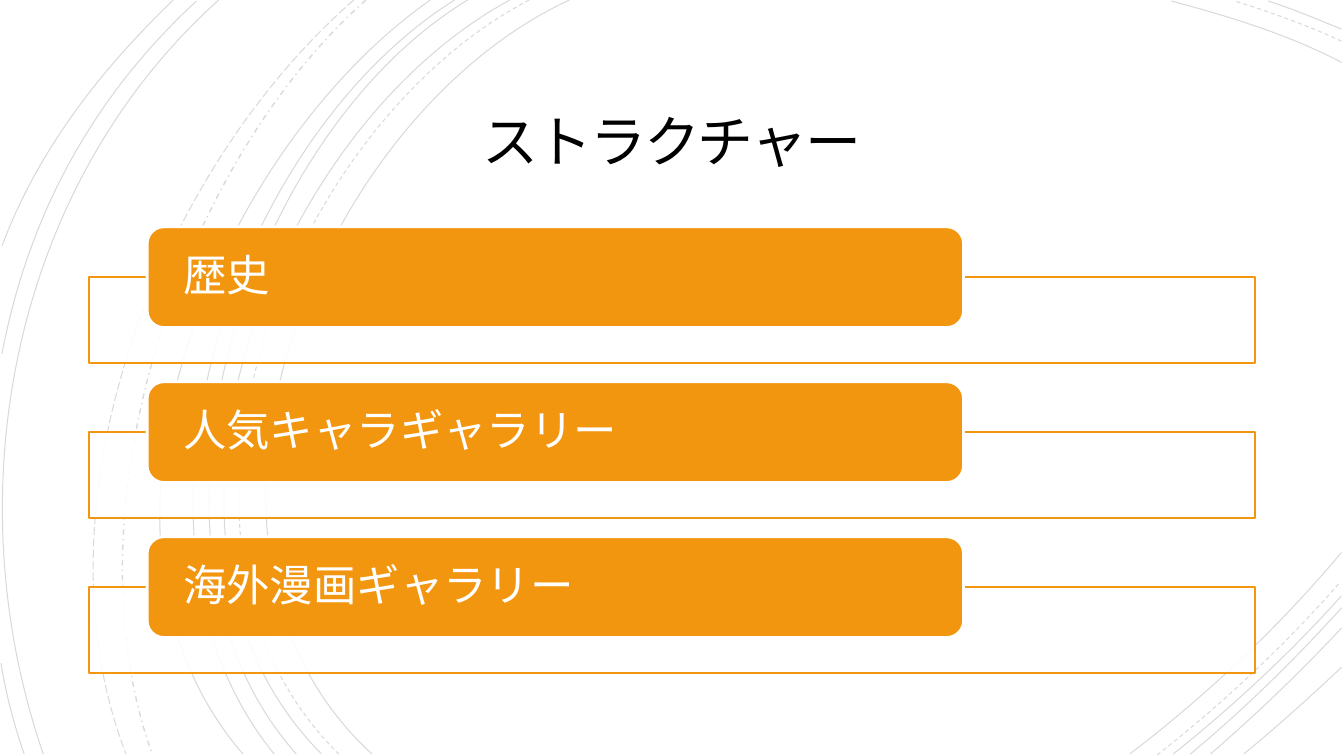
from lxml import etree
from pptx import Presentation
from pptx.dml.color import RGBColor
from pptx.enum.dml import MSO_LINE
from pptx.enum.shapes import MSO_SHAPE
from pptx.enum.text import MSO_ANCHOR, PP_ALIGN
from pptx.oxml.ns import qn
from pptx.util import Pt

SOLID, DASH = MSO_LINE.SOLID, MSO_LINE.DASH
DOT, LONG = MSO_LINE.DASH_DOT, MSO_LINE.LONG_DASH
RECT, ROUND = MSO_SHAPE.RECTANGLE, MSO_SHAPE.ROUNDED_RECTANGLE
MID, LEFT, CENTER = MSO_ANCHOR.MIDDLE, PP_ALIGN.LEFT, PP_ALIGN.CENTER

# Content
TITLE = "ストラクチャー"
TOPICS = ["歴史", "人気キャラギャラリー", "海外漫画ギャラリー"]
COLORS = {"ink": "000000", "paper": "FFFFFF", "accent": "F3960F"}

# Background arcs by dash style: start, two control points, end
ARCS = {
    SOLID: [
        ((565, 0), (315, 115), (143, 540), (369, 748)),
        ((1331, 62), (1278, 34), (1218, 16), (1162, 1)),
        ((1121, 748), (1197, 690), (1269, 622), (1331, 548)),
        ((506, 0), (270, 127), (110, 537), (319, 748)),
        ((1331, 29), (1307, 19), (1283, 9), (1258, 1)),
        ((1164, 748), (1223, 701), (1280, 648), (1331, 591)),
        ((464, 0), (244, 133), (110, 541), (294, 748)),
        ((1181, 748), (1234, 704), (1284, 655), (1331, 603)),
        ((451, 0), (231, 138), (97, 533), (272, 748)),
        ((1201, 748), (1246, 709), (1290, 667), (1331, 623)),
        ((427, 0), (217, 147), (53, 529), (241, 748)),
        ((1234, 748), (1267, 721), (1299, 692), (1331, 662)),
        ((217, 0), (11, 185), (-46, 490), (43, 748)),
        ((195, 1), (92, 96), (28, 214), (2, 351)),
        ((1, 658), (6, 689), (14, 719), (24, 748)),
        ((172, 0), (100, 69), (37, 150), (2, 244)),
    ],
    DASH: [
        ((525, 0), (285, 125), (123, 537), (336, 748)),
        ((1331, 41), (1297, 25), (1260, 12), (1225, 1)),
        ((1148, 749), (1213, 698), (1275, 640), (1330, 577)),
    ],
    DOT: [((363, 0), (176, 166), (65, 509), (151, 748))],
    LONG: [((351, 0), (157, 169), (29, 499), (125, 748))],
}

# Layout in px, 100 to the inch
PX = 9144
HEAD = (192, 87, 949, 115)
FRAME = (88, 275, 1157, 85)
BAR = (146, 225, 810, 100)
PITCH = 153.75


def emu(*vals):
    return [round(v * PX) for v in vals]


def tint(fill, name, alpha=100):
    fill.solid()
    fill.fore_color.rgb = RGBColor.from_string(COLORS[name])
    if alpha < 100:
        node = fill._xPr.find(".//" + qn("a:srgbClr"))
        etree.SubElement(node, qn("a:alpha"), val=str(alpha * 1000))


def draw_arc(shapes, arc, dash):
    first, *rest = [emu(*point) for point in arc]
    pen = shapes.build_freeform(*first, scale=1.0)
    pen.add_line_segments(rest, close=False)
    shape = pen.convert_to_shape()
    # Join the three line points into one cubic curve
    trace = next(shape._element.iter(qn("a:path")))
    bend = etree.SubElement(trace, qn("a:cubicBezTo"))
    for leg in trace.findall(qn("a:lnTo")):
        bend.append(leg[0])
        trace.remove(leg)
    shape.shadow.inherit = False
    shape.fill.background()
    tint(shape.line.fill, "ink", 15)
    shape.line.width = Pt(1 if dash == DOT else 0.75)
    shape.line.dash_style = dash


def draw_box(shapes, kind, box, drop, fill, alpha, edge, width):
    x, y, w, h = box
    shape = shapes.add_shape(kind, *emu(x, y + drop, w, h))
    shape.shadow.inherit = False
    tint(shape.fill, fill, alpha)
    tint(shape.line.fill, edge)
    shape.line.width = Pt(width)
    return shape


def write(shape, text, color, pads, font, para):
    frame = shape.text_frame
    frame.word_wrap = True
    frame.vertical_anchor = MID
    sides = ("left", "top", "right", "bottom")
    for side, pad in zip(sides, emu(*pads)):
        setattr(frame, "margin_" + side, pad)
    line = frame.paragraphs[0]
    run = line.add_run()
    run.text = text
    for key, val in para.items():
        setattr(line, key, val)
    for key, val in font.items():
        setattr(run.font, key, val)
    tint(run.font.fill, color)
    return run


def main():
    deck = Presentation()
    deck.slide_width, deck.slide_height = Pt(960), Pt(540)
    slide = deck.slides.add_slide(deck.slide_layouts[5])
    shapes = slide.shapes

    # Background arcs
    for dash, arcs in ARCS.items():
        for arc in arcs:
            draw_arc(shapes, arc, dash)

    # Title
    head = shapes.title
    head.left, head.top, head.width, head.height = emu(*HEAD)
    run = write(head, TITLE, "ink", (25, 25, 25, 25),
                {"name": "Calibri", "size": Pt(40)},
                {"alignment": CENTER, "line_spacing": 0.85})
    run.font._element.set("spc", "-150")

    # Topic rows
    for row, topic in enumerate(TOPICS):
        drop = row * PITCH
        draw_box(shapes, RECT, FRAME, drop, "paper", 90, "accent", 1.25)
        bar = draw_box(shapes, ROUND, BAR, drop, "accent", 100, "paper", 2)
        write(bar, topic, "paper", (31, 0, 31, 0),
              {"name": "Roboto Slab", "size": Pt(31)},
              {"alignment": LEFT, "line_spacing": 0.9})

    deck.save("out.pptx")


if __name__ == "__main__":
    main()
